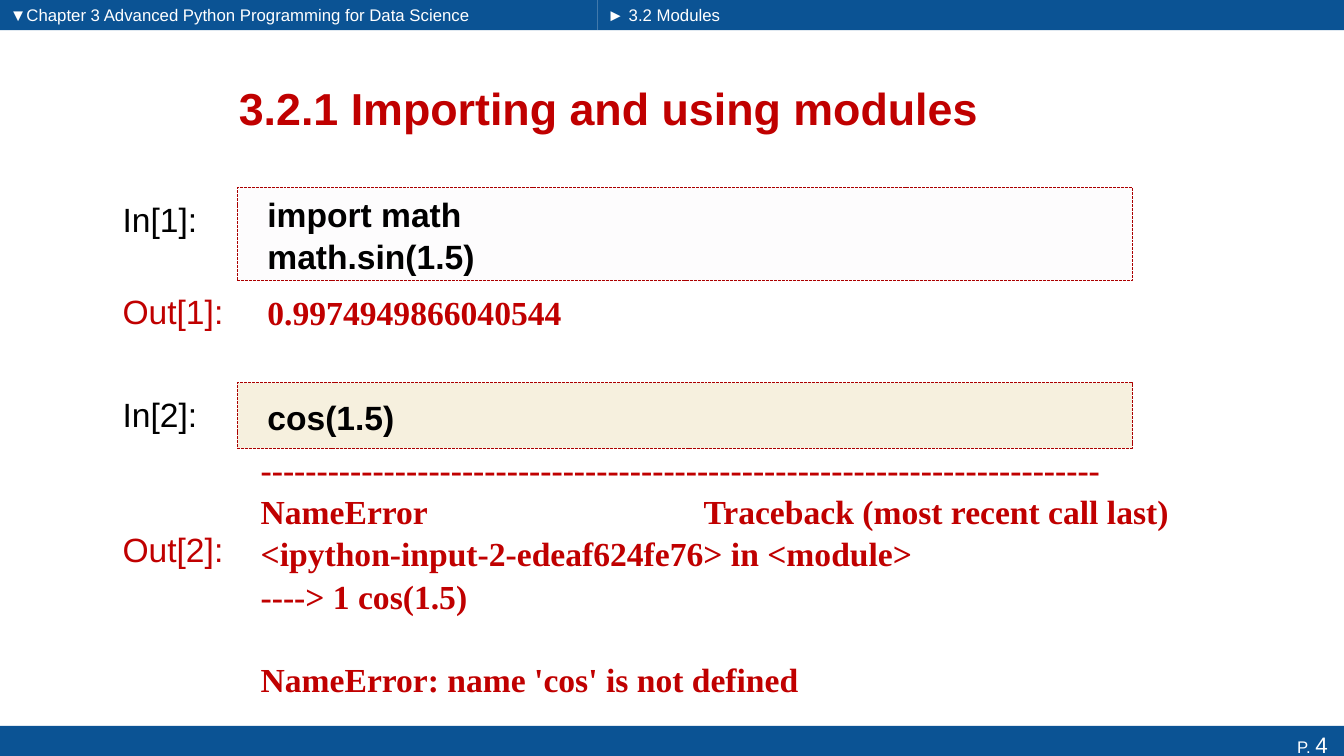
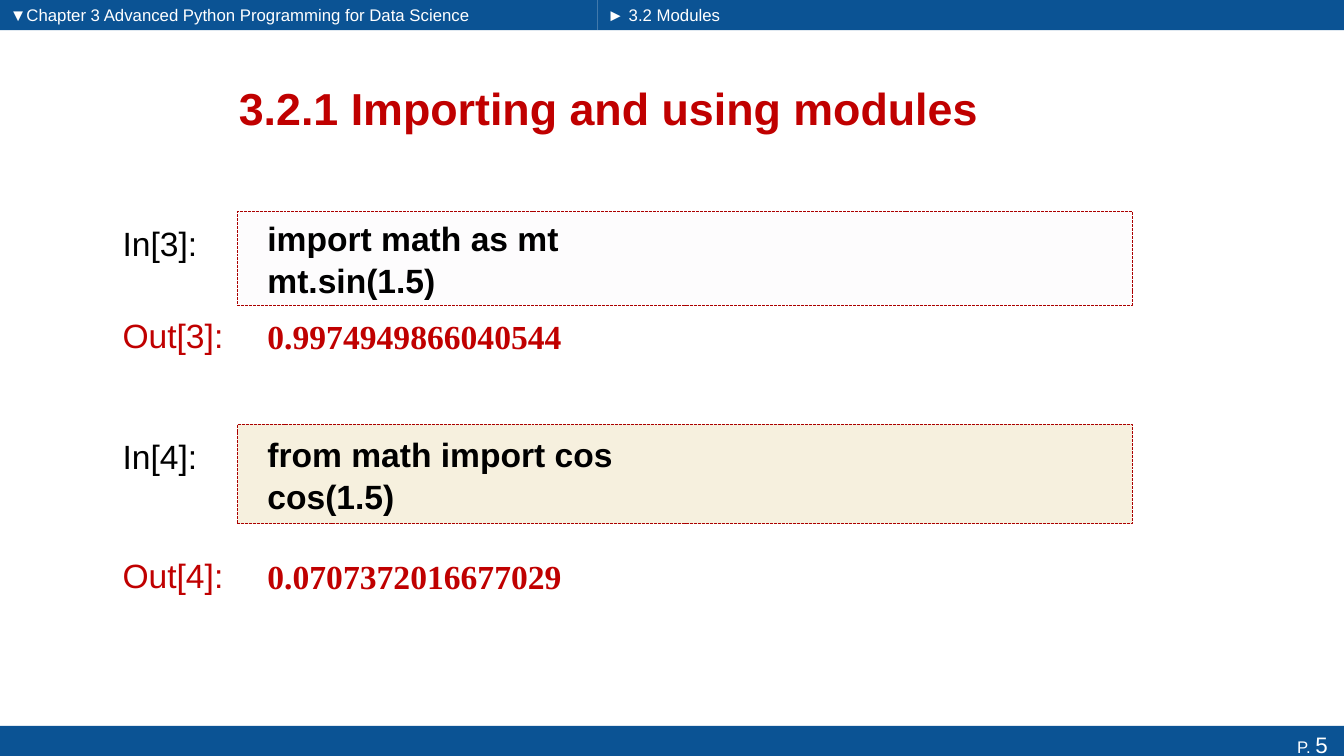
"""Build two slides of notebook cells on importing and using modules."""
from dataclasses import dataclass
from typing import Optional

from lxml import etree
from pptx import Presentation
from pptx import util as u
from pptx.dml.color import RGBColor
from pptx.enum import dml, shapes, text
from pptx.oxml.ns import qn
from pptx.slide import Slide

BLUE = RGBColor(0x0B, 0x53, 0x94)
RED = RGBColor(0xC0, 0x00, 0x00)
BORDER = RGBColor(0xAB, 0x00, 0x00)
LILAC = RGBColor(0xF1, 0xEE, 0xF4)
OCHRE = RGBColor(0xBF, 0x90, 0x00)
WHITE = RGBColor(0xFF, 0xFF, 0xFF)
BLACK = RGBColor(0x00, 0x00, 0x00)

TOP, MIDDLE = text.MSO_ANCHOR.TOP, text.MSO_ANCHOR.MIDDLE
WIDTH, HEIGHT = 33.87, 19.05
BAND_H = 0.76
SPLIT = 15.06
CELL_X, CELL_W = 5.98, 22.55
LABEL_X, LABEL_W, LABEL_H = 2.84, 3.43, 1.27
LABEL_DROP = 0.16
CODE_INSET = 0.76
RESULT_H = 1.65
TAB_STOP = 11.16

BAND = dict(name="Arial", size=u.Pt(12), color=WHITE)
PAGE = dict(BAND, size=u.Pt(16))
TITLE = dict(name="Arial", size=u.Pt(32), bold=True, color=RED)
IN_LABEL = dict(name="Arial", size=u.Pt(24), color=BLACK)
OUT_LABEL = dict(IN_LABEL, color=RED)
CODE = dict(IN_LABEL, bold=True)
RESULT = dict(CODE, name="Times New Roman", color=RED)


@dataclass(frozen=True)
class Box:
    """A rectangle in centimetres."""
    x: float
    y: float
    w: float
    h: float

    def lengths(self) -> tuple:
        """Give the four lengths that python-pptx expects."""
        return tuple(u.Cm(v) for v in (self.x, self.y, self.w, self.h))


@dataclass(frozen=True)
class Error:
    """A traceback with a final message set apart from it."""
    trace: tuple
    message: str


@dataclass(frozen=True)
class Cell:
    """A notebook cell: its code and what it returns."""
    number: int
    y: float
    h: float
    fill: RGBColor
    code: tuple
    out_y: float
    result: str = ""
    error: Optional[Error] = None


@dataclass(frozen=True)
class Page:
    """A slide number with its cells."""
    number: int
    cells: tuple


PAGES = (
    Page(4, (
        Cell(1, 4.72, 2.36, LILAC, ("import math", "math.sin(1.5)"),
             7.04, "0.9974949866040544"),
        Cell(2, 9.65, 1.65, OCHRE, ("cos(1.5)",), 11.13, error=Error(
            ("-" * 75,
             "NameError\tTraceback (most recent call last)",
             "<ipython-input-2-edeaf624fe76> in <module>",
             "----> 1 cos(1.5)"),
            "NameError: name 'cos' is not defined")),
    )),
    Page(5, (
        Cell(3, 5.33, 2.36, LILAC, ("import math as mt", "mt.sin(1.5)"),
             7.65, "0.9974949866040544"),
        Cell(4, 10.69, 2.51, OCHRE, ("from math import cos", "cos(1.5)"),
             13.69, "0.0707372016677029"),
    )),
)


def add_run(p, content: str, fmt: dict) -> None:
    """Add a run with the given font values."""
    r = p.add_run()
    r.text = content
    for key, value in fmt.items():
        if key == "color":
            r.font.color.rgb = value
        else:
            setattr(r.font, key, value)


def write(sp, lines: tuple, fmt: dict, anchor=TOP, inset: float = 0.25,
          align=text.PP_ALIGN.LEFT, spacing: float = 1.0):
    """Write one paragraph per line and return the text frame."""
    tf = sp.text_frame
    frame = dict(word_wrap=True, vertical_anchor=anchor, margin_left=u.Cm(inset))
    for key, value in frame.items():
        setattr(tf, key, value)
    for i, line in enumerate(lines):
        p = tf.paragraphs[0] if i == 0 else tf.add_paragraph()
        if "\t" in line:
            tabs = etree.SubElement(p._p.get_or_add_pPr(), qn("a:tabLst"))
            etree.SubElement(tabs, qn("a:tab"), pos=str(u.Cm(TAB_STOP)), algn="l")
        p.alignment = align
        if spacing != 1.0:
            p.line_spacing = spacing
        add_run(p, line, fmt)
    return tf


def add_text(s: Slide, box: Box, lines: tuple, fmt: dict, **layout):
    """Add a text box."""
    return write(s.shapes.add_textbox(*box.lengths()), lines, fmt, **layout)


def add_rect(s: Slide, box: Box, fill: RGBColor):
    """Add a filled rectangle without line or shadow."""
    sp = s.shapes.add_shape(shapes.MSO_SHAPE.RECTANGLE, *box.lengths())
    sp.shadow.inherit = False
    sp.fill.solid()
    sp.fill.fore_color.rgb = fill
    sp.line.fill.background()
    return sp


def add_frame(s: Slide, page: int) -> None:
    """Add the bands, breadcrumb, title and page number."""
    add_rect(s, Box(0, 0, SPLIT, BAND_H), BLUE)
    footer = add_rect(s, Box(0, HEIGHT - BAND_H, WIDTH, BAND_H), BLUE)
    tf = write(footer, ("P. ",), BAND, align=text.PP_ALIGN.RIGHT)
    tf.margin_bottom = 0
    add_run(tf.paragraphs[0], f"{page} ", PAGE)
    add_rect(s, Box(SPLIT, 0, WIDTH - SPLIT, BAND_H), BLUE)
    add_text(s, Box(0, 0, 12.27, BAND_H),
             ("▼Chapter 3 Advanced Python Programming for Data Science",), BAND)
    add_text(s, Box(SPLIT, 0, 7.06, BAND_H), ("► 3.2 Modules",), BAND)
    add_text(s, Box(1.73, 1.57, 27.23, 2.29), ("3.2.1 Importing and using modules",),
             TITLE, anchor=MIDDLE, align=text.PP_ALIGN.CENTER)


def add_label(s: Slide, y: float, label: str, fmt: dict) -> None:
    """Add an In or Out label."""
    add_text(s, Box(LABEL_X, y, LABEL_W, LABEL_H), (label,), fmt)


def add_code(s: Slide, cell: Cell) -> None:
    """Add the dashed, tinted box with the code."""
    sp = add_rect(s, Box(CELL_X, cell.y, CELL_W, cell.h), cell.fill)
    color = sp.fill._xPr.find(qn("a:solidFill"))[0]
    etree.SubElement(color, qn("a:alpha"), val="13000")
    sp.line.color.rgb = BORDER
    sp.line.width = u.Pt(0.7)
    sp.line.dash_style = dml.MSO_LINE.SQUARE_DOT
    write(sp, cell.code, CODE, anchor=MIDDLE, inset=CODE_INSET, spacing=1.05)


def add_cell(s: Slide, cell: Cell) -> None:
    """Add a cell with its labels, code and output."""
    add_label(s, cell.y + LABEL_DROP, f"In[{cell.number}]:", IN_LABEL)
    add_code(s, cell)
    drop = LABEL_DROP
    if cell.error:
        drop = 2.08
        lines = (*cell.error.trace, cell.error.message)
        tf = add_text(s, Box(6.32, cell.out_y, 23.8, 6.4), lines, RESULT,
                      spacing=1.05)
        tf.paragraphs[-1].space_before = u.Pt(29)
    else:
        add_text(s, Box(CELL_X, cell.out_y, CELL_W, RESULT_H), (cell.result,),
                 RESULT, anchor=MIDDLE, inset=CODE_INSET)
    add_label(s, cell.out_y + drop, f"Out[{cell.number}]:", OUT_LABEL)


def main() -> None:
    """Build and save the presentation."""
    prs = Presentation()
    prs.slide_width, prs.slide_height = u.Cm(WIDTH), u.Cm(HEIGHT)
    for page in PAGES:
        s = prs.slides.add_slide(prs.slide_layouts[6])
        add_frame(s, page.number)
        for cell in page.cells:
            add_cell(s, cell)
    prs.save("out.pptx")


if __name__ == "__main__":
    main()
